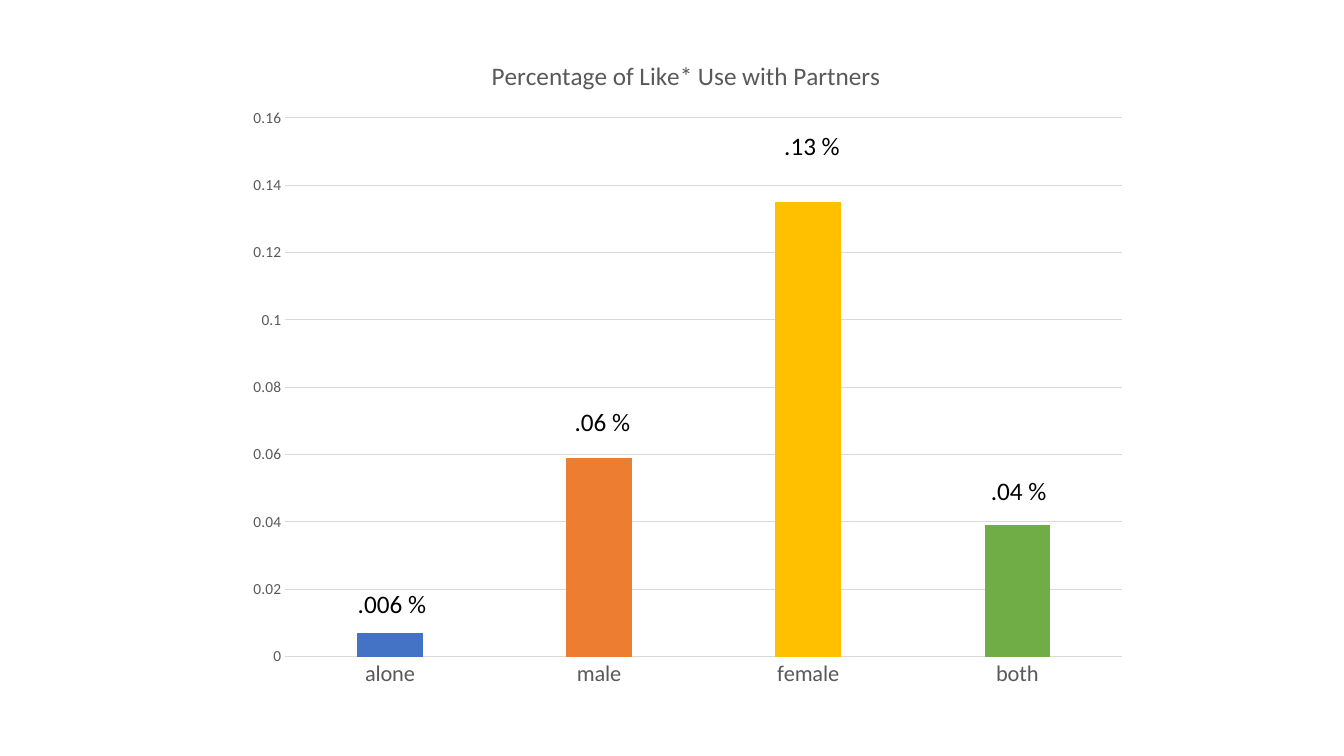
from pptx import Presentation
from pptx.chart.data import CategoryChartData
from pptx.dml.color import RGBColor
from pptx.enum.chart import XL_CHART_TYPE, XL_TICK_MARK
from pptx.enum.text import MSO_AUTO_SIZE
from pptx.oxml import parse_xml
from pptx.oxml.ns import nsdecls
from pptx.util import Inches, Pt

SLIDE_WIDTH, SLIDE_HEIGHT = Inches(13.33), Inches(7.5)
FONT, BLACK, GRAY, GRID = "Calibri", "000000", "595959", "D9D9D9"
PARTNERS = {
    "alone": (0.007, "4472C4"),
    "male": (0.059, "ED7D31"),
    "female": (0.135, "FFC000"),
    "both": (0.039, "70AD47"),
}
BAR_LABELS = [
    (".006 %", 25.88, 77.2, 6.68),
    (".06 %", 42.01, 53.07, 5.7),
    (".13 %", 57.61, 16.53, 5.7),
    (".04 %", 72.99, 62.27, 5.7),
]


def color(hex_string):
    """Turn a hex string into a colour."""
    return RGBColor.from_string(hex_string)


def place(left, top, width, height):
    """Turn percentages of the slide's size into lengths."""
    return [int(size * percent / 100) for size, percent in
            zip((SLIDE_WIDTH, SLIDE_HEIGHT) * 2, (left, top, width, height))]


def style_font(font, size, hex_string):
    """Set the format values of a font."""
    values = {"name": FONT, "size": Pt(size), "bold": False}
    for name, value in values.items():
        setattr(font, name, value)
    font.color.rgb = color(hex_string)


def style_line(line):
    """Draw a thin light line."""
    line.width = Pt(0.75)
    line.color.rgb = color(GRID)


def style_axis(axis, size, **values):
    """Format an axis and its labels."""
    ticks = {"major_tick_mark": XL_TICK_MARK.NONE, "minor_tick_mark": XL_TICK_MARK.NONE}
    for name, value in {**ticks, **values}.items():
        setattr(axis, name, value)
    style_font(axis.tick_labels.font, size, GRAY)


def set_plot_area(chart, **shares):
    """Fix the inner plot area as shares of the chart's size."""
    plot_area = chart.element.xpath("c:chart/c:plotArea")[0]
    for layout in plot_area.xpath("c:layout"):
        plot_area.remove(layout)
    sizes = "".join(f'<c:{name} val="{share}"/>' for name, share in shares.items())
    plot_area.insert(0, parse_xml(
        f'<c:layout {nsdecls("c")}><c:manualLayout><c:layoutTarget val="inner"/>'
        f'<c:xMode val="edge"/><c:yMode val="edge"/>{sizes}</c:manualLayout></c:layout>'))


def add_partner_chart(slide):
    """Add the column chart with one colour per partner."""
    data = CategoryChartData()
    data.categories = list(PARTNERS)
    data.add_series("Series 1", [value for value, _ in PARTNERS.values()])
    chart = slide.shapes.add_chart(
        XL_CHART_TYPE.COLUMN_CLUSTERED, *place(17.4, 4.67, 67.29, 88), data).chart
    style_font(chart.font, 10, BLACK)
    chart.has_legend = False
    chart.has_title = True
    title = chart.chart_title.text_frame
    title.text = "Percentage of Like* Use with Partners"
    style_font(title.paragraphs[0].runs[0].font, 18, GRAY)

    plot = chart.plots[0]
    for name, value in {"gap_width": 219, "overlap": -27, "vary_by_categories": False}.items():
        setattr(plot, name, value)
    for index, (_, hex_string) in enumerate(PARTNERS.values()):
        fill = plot.series[0].points[index].format.fill
        fill.solid()
        fill.fore_color.rgb = color(hex_string)

    style_axis(chart.category_axis, 16)
    style_line(chart.category_axis.format.line)
    style_axis(chart.value_axis, 11, minimum_scale=0, maximum_scale=0.16, major_unit=0.02)
    chart.value_axis.tick_labels.number_format = "General"
    chart.value_axis.tick_labels.number_format_is_linked = False
    chart.value_axis.format.line.fill.background()
    style_line(chart.value_axis.major_gridlines.format.line)
    set_plot_area(chart, x=0.057, y=0.124, w=0.925, h=0.81)


def add_bar_label(slide, text, left, top, width):
    """Add the percentage above a column."""
    frame = slide.shapes.add_textbox(*place(left, top, width, 5.33)).text_frame
    for name, value in {"word_wrap": False, "auto_size": MSO_AUTO_SIZE.SHAPE_TO_FIT_TEXT}.items():
        setattr(frame, name, value)
    run = frame.paragraphs[0].add_run()
    run.text = text
    style_font(run.font, 18, BLACK)


def main():
    """Build and save the slide."""
    presentation = Presentation()
    presentation.slide_width, presentation.slide_height = SLIDE_WIDTH, SLIDE_HEIGHT
    slide = presentation.slides.add_slide(presentation.slide_layouts[6])
    add_partner_chart(slide)
    for label in BAR_LABELS:
        add_bar_label(slide, *label)
    presentation.save("out.pptx")


main()
